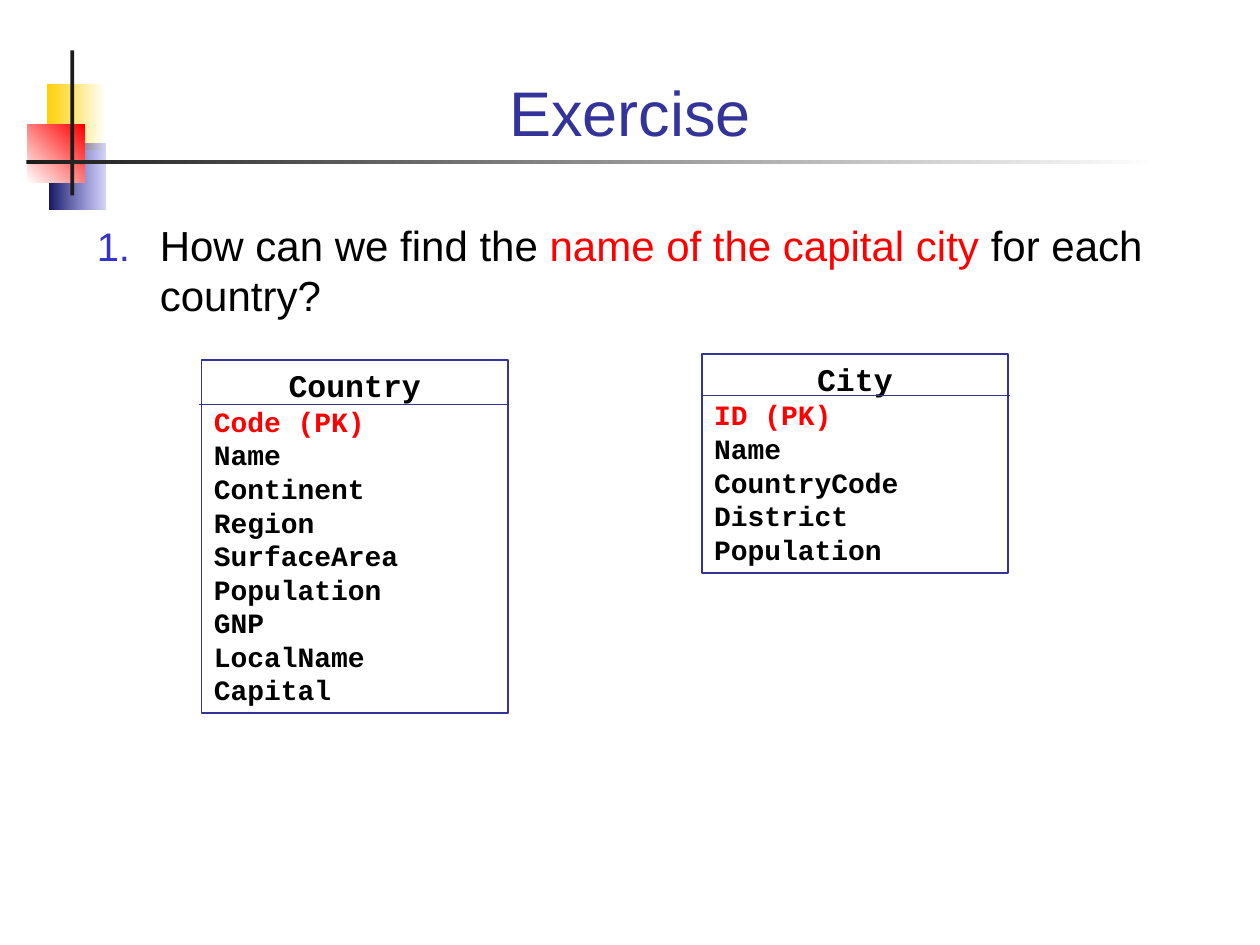
import pptx
import pptx.dml.color
import pptx.enum.shapes
import pptx.enum.text
import pptx.oxml.ns
import pptx.util
from lxml import etree

Inches = pptx.util.Inches
Pt = pptx.util.Pt
RGBColor = pptx.dml.color.RGBColor
Align = pptx.enum.text.PP_ALIGN
qn = pptx.oxml.ns.qn

BLACK = RGBColor(0x00, 0x00, 0x00)
WHITE = RGBColor(0xFF, 0xFF, 0xFF)
RED = RGBColor(0xFF, 0x00, 0x00)
YELLOW = RGBColor(0xFF, 0xCF, 0x01)
NAVY = RGBColor(0x18, 0x18, 0x5E)
BLUE = RGBColor(0x33, 0x33, 0xCC)
INDIGO = RGBColor(0x33, 0x33, 0x99)
CHARCOAL = RGBColor(0x1C, 0x1C, 0x1C)


class SlideBuilder:
    sans = "Arial"
    mono = "Courier New"
    entity_width = 2.43

    def __init__(self, page):
        self.page = page

    def format_paragraph(self, para, font, size, color, bold=False, align=Align.LEFT):
        para.alignment = align
        para.font.name = font
        para.font.size = Pt(size)
        para.font.bold = bold
        para.font.color.rgb = color

    def rectangle(self, left, top, width, height):
        box = self.page.shapes.add_shape(
            pptx.enum.shapes.MSO_SHAPE.RECTANGLE,
            Inches(left), Inches(top), Inches(width), Inches(height))
        box.shadow.inherit = False
        return box

    def bar(self, place, color):
        box = self.rectangle(*place)
        box.fill.solid()
        box.fill.fore_color.rgb = color
        box.line.fill.background()

    def gradient(self, place, start, end, angle=0, end_alpha=None):
        """Add a two-colour block; angle is counter-clockwise, end_alpha a percentage."""
        box = self.rectangle(*place)
        box.line.fill.background()
        box.fill.gradient()
        box.fill.gradient_angle = angle
        for stop, color in zip(box.fill.gradient_stops, (start, end)):
            stop.color.rgb = color
        if end_alpha is not None:
            end_color = list(box._element.spPr.iter(qn("a:srgbClr")))[-1]
            etree.SubElement(end_color, qn("a:alpha"), val=str(end_alpha * 1000))

    def title(self, text, place):
        box = self.page.shapes.title
        box.left, box.top, box.width, box.height = map(Inches, place)
        frame = box.text_frame
        frame.text = text
        frame.vertical_anchor = pptx.enum.text.MSO_ANCHOR.BOTTOM
        self.format_paragraph(frame.paragraphs[0], self.sans, 36, INDIGO, align=Align.CENTER)

    def numbered_question(self, place, parts):
        box = self.page.shapes.add_textbox(*map(Inches, place))
        box.text_frame.word_wrap = True
        para = box.text_frame.paragraphs[0]
        for text, color in parts:
            span = para.add_run()
            span.text = text
            span.font.color.rgb = color
        properties = para._p.get_or_add_pPr()
        properties.set("marL", str(Inches(0.5)))
        properties.set("indent", str(-Inches(0.5)))
        bullet_color = etree.SubElement(properties, qn("a:buClr"))
        etree.SubElement(bullet_color, qn("a:srgbClr"), val=str(BLUE))
        etree.SubElement(properties, qn("a:buSzPct"), val="95000")
        etree.SubElement(properties, qn("a:buFont"), typeface=self.sans)
        etree.SubElement(properties, qn("a:buAutoNum"), type="arabicPeriod")
        self.format_paragraph(para, self.sans, 24, BLACK)

    def entity(self, left, top, height, name, key, columns):
        """Add a database table box: its name, its primary key, then the other columns."""
        box = self.rectangle(left, top, self.entity_width, height)
        box.fill.background()
        box.line.color.rgb = INDIGO
        box.line.width = Pt(1)
        frame = box.text_frame
        frame.word_wrap = True
        frame.auto_size = pptx.enum.text.MSO_AUTO_SIZE.SHAPE_TO_FIT_TEXT
        frame.vertical_anchor = pptx.enum.text.MSO_ANCHOR.TOP
        frame.text = "\n".join([name, key, *columns])
        heading, key_row, *rows = frame.paragraphs
        self.format_paragraph(heading, self.mono, 18, BLACK, True, Align.CENTER)
        self.format_paragraph(key_row, self.mono, 16, RED, True)
        for para in rows:
            self.format_paragraph(para, self.mono, 16, BLACK, True)

    def divider(self, left, right, y):
        line = self.page.shapes.add_connector(
            pptx.enum.shapes.MSO_CONNECTOR.STRAIGHT,
            Inches(left), Inches(y), Inches(right), Inches(y))
        line.line.color.rgb = INDIGO
        line.line.width = Pt(0.75)
        etree.SubElement(line._element.spPr, qn("a:effectLst"))


def main():
    deck = pptx.Presentation()
    deck.slide_width = Inches(10)
    deck.slide_height = Inches(7.5)
    builder = SlideBuilder(deck.slides.add_slide(deck.slide_layouts[5]))

    builder.gradient((0.37, 0.67, 0.47, 0.52), YELLOW, WHITE)
    builder.gradient((0.39, 1.14, 0.45, 0.52), NAVY, BLUE, end_alpha=20)
    builder.gradient((0.22, 0.99, 0.45, 0.46), WHITE, RED, angle=45)
    builder.bar((0.56, 0.4, 0.03, 1.15), CHARCOAL)
    builder.gradient((0.21, 1.27, 9, 0.03), CHARCOAL, WHITE)

    builder.title("Exercise", (0.67, 0.28, 8.66, 0.95))
    builder.numbered_question((0.67, 1.69, 8.66, 1.03), [
        ("How can we find the ", BLACK),
        ("name of the capital city", RED),
        (" for each country?", BLACK),
    ])

    builder.entity(1.6, 2.86, 2.8, "Country", "Code (PK)", [
        "Name", "Continent", "Region", "SurfaceArea",
        "Population", "GNP", "LocalName", "Capital"])
    builder.divider(1.58, 4.03, 3.21)
    builder.entity(5.57, 2.81, 1.74, "City", "ID (PK)", [
        "Name", "CountryCode", "District", "Population"])
    builder.divider(5.57, 8.02, 3.14)

    deck.save("out.pptx")


if __name__ == "__main__":
    main()
